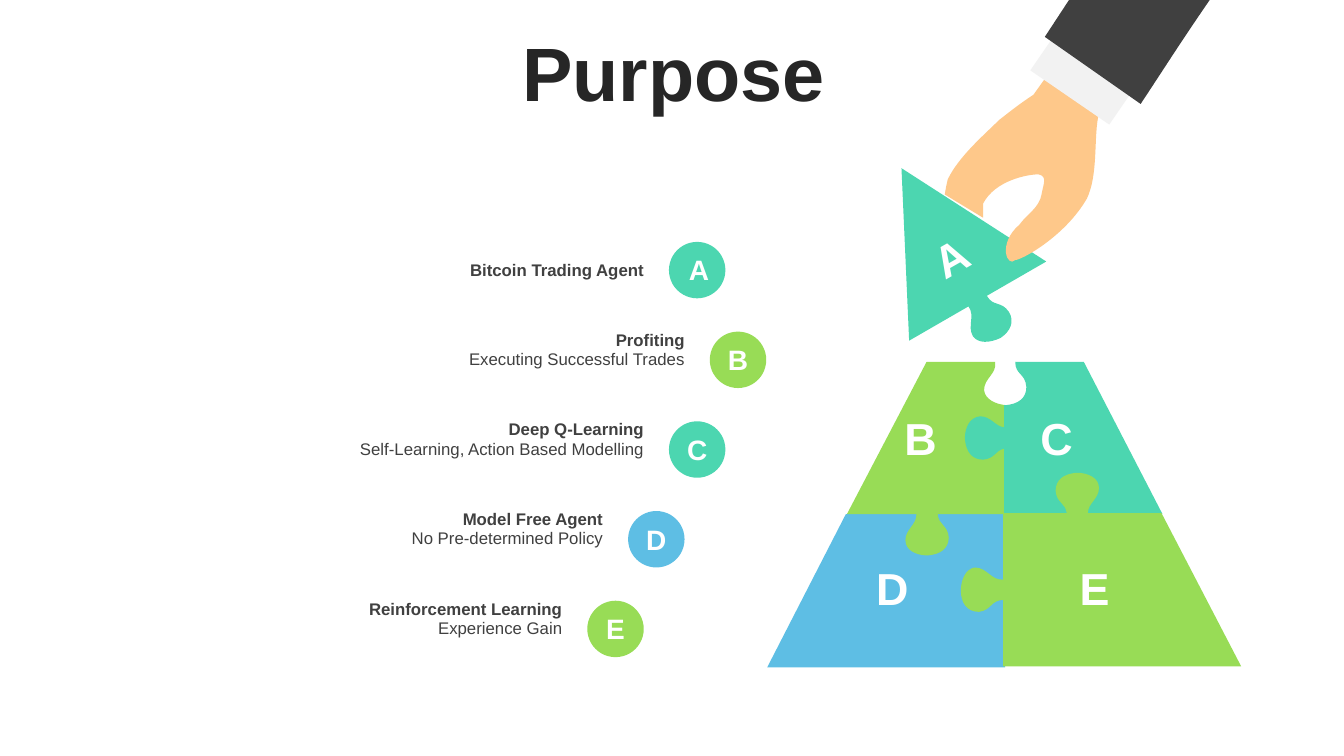
"""Build the Purpose slide: a hand placing the top piece of a puzzle pyramid, with a lettered list."""
from dataclasses import dataclass

from lxml.etree import SubElement
from pptx import Presentation
from pptx.dml.color import RGBColor
from pptx.enum.shapes import MSO_SHAPE
from pptx.enum.text import MSO_ANCHOR, PP_ALIGN
from pptx.oxml.ns import qn
from pptx.util import Inches, Pt


@dataclass(frozen=True)
class Theme:
    font: str = "Arial"
    teal: str = "4CD6B0"
    green: str = "98DC56"
    blue: str = "5EBEE4"
    skin: str = "FEC88A"
    cuff: str = "F2F2F2"
    sleeve: str = "404040"
    white: str = "FFFFFF"
    heading: str = "262626"
    body: str = "404040"
    title_size: int = 54
    piece_size: int = 32
    badge_size: int = 20
    body_size: int = 12


theme = Theme()
deck = Presentation()
deck.slide_width, deck.slide_height = Inches(13.33), Inches(7.5)
page = deck.slides.add_slide(deck.slide_layouts[6])
COLUMNS, ROWS = 1333, 750
column, row = deck.slide_width / COLUMNS, deck.slide_height / ROWS


def write(text, *, at, size=theme.body_size, color=theme.body, bold=True,
          align=PP_ALIGN.LEFT, anchor=MSO_ANCHOR.TOP, wrap=True, spacing=None, turn=0):
    """Write one line of text in a new text box placed at grid cells."""
    left, top, width, height = at
    box = page.shapes.add_textbox(int(left * column), int(top * row),
                                  int(width * column), int(height * row))
    box.rotation = turn
    frame = box.text_frame
    frame.word_wrap = wrap
    frame.vertical_anchor = anchor
    para = frame.paragraphs[0]
    para.alignment = align
    if spacing:
        para.line_spacing = spacing
    span = para.add_run()
    span.text = text
    span.font.name = theme.font
    span.font.size = Pt(size)
    span.font.bold = bold
    span.font.color.rgb = RGBColor.from_string(color)


def draw(outline, color, turn=0):
    """Draw a path of M, L and C steps in grid cells, or a preset shape given with its place."""
    if isinstance(outline, str):
        steps, points = outline.split(), []
        for step in steps:
            cells = [int(number) for number in step[1:].split(",")]
            points += [(x * column, y * row) for x, y in zip(cells[::2], cells[1::2])]
        builder = page.shapes.build_freeform(*points[0])
        builder.add_line_segments(points[1:], close=True)
        shape = builder.convert_to_shape()
        lines = iter(list(shape.element.iter(qn("a:lnTo"))))
        for step in steps[1:]:
            line = next(lines)
            if step[0] == "C":
                curve = SubElement(line.getparent(), qn("a:cubicBezTo"))
                line.addprevious(curve)
                for corner in (line, next(lines), next(lines)):
                    curve.append(corner[0])
                    corner.getparent().remove(corner)
    else:
        preset, left, top, width, height = outline
        shape = page.shapes.add_shape(preset, int(left * column), int(top * row),
                                      int(width * column), int(height * row))
    shape.rotation = turn
    shape.shadow.inherit = False
    shape.fill.solid()
    shape.fill.fore_color.rgb = RGBColor.from_string(color)
    shape.line.fill.background()


pieces = [
    ("M839,510 L997,510 L997,662 L761,662", theme.blue, 0),
    ("M943,154 L1021,306 L953,306 C953,319,963,317,964,331 C964,342,956,348,944,349 "
     "C932,348,922,343,921,334 C921,322,933,318,932,306 L864,306", theme.teal, 330),
    ("M919,359 L987,359 C989,371,976,375,976,387 C977,396,987,401,998,402 L998,510 L930,510 "
     "C931,521,940,521,941,533 C941,544,933,550,920,551 C909,551,898,546,898,536 "
     "C898,525,909,521,909,510 L840,510", theme.green, 0),
    ("M1007,359 L1075,359 L1153,510 L996,510 L996,445 C987,447,987,455,975,456 "
     "C964,456,958,448,957,435 C957,424,962,414,972,413 C983,413,987,423,996,424 L996,402 "
     "L997,402 C1010,401,1018,395,1018,384 C1017,370,1007,372,1007,359", theme.teal, 0),
    ("M1068,469 C1079,469,1090,474,1090,484 C1090,495,1079,499,1079,509 L1152,509 L1231,661 "
     "L995,661 L995,595 C982,596,984,605,971,607 C959,607,953,598,953,586 "
     "C953,575,958,564,967,563 C979,563,983,576,995,575 L995,509 L1058,509 "
     "C1057,499,1048,499,1047,487 C1047,476,1055,470,1068,469", theme.green, 0),
]
for outline, color, turn in pieces:
    draw(outline, color, turn)

for letter, left, top, turn in [("A", 917, 223, 330.4), ("B", 887, 403, 0), ("C", 1022, 403, 0),
                                ("D", 859, 551, 0), ("E", 1061, 551, 0)]:
    write(letter, at=(left, top, 52, 63), size=theme.piece_size, color=theme.white,
          wrap=False, turn=turn)

hand = ("M1060,45 L1128,69 C1106,90,1095,95,1089,117 C1085,139,1089,174,1078,197 "
        "C1056,235,1013,258,1007,258 C999,266,989,242,1011,223 C1018,213,1031,206,1033,193 "
        "C1035,182,1039,175,1030,173 C1019,173,987,179,975,202 C975,206,975,211,975,216 "
        "L937,193 C938,187,939,182,940,178 C951,155,977,133,991,119 "
        "C1009,105,1013,102,1025,94")
draw(hand, theme.skin)

write("Purpose", at=(35, 37, 1266, 79), size=theme.title_size, color=theme.heading,
      align=PP_ALIGN.CENTER, anchor=MSO_ANCHOR.MIDDLE, spacing=0.9)

items = [
    ("A", 0, theme.teal, "Bitcoin Trading Agent", ""),
    ("B", 1, theme.green, "Profiting", "Executing Successful Trades"),
    ("C", 0, theme.teal, "Deep Q-Learning", "Self-Learning, Action Based Modelling"),
    ("D", -1, theme.blue, "Model Free Agent", "No Pre-determined Policy"),
    ("E", -2, theme.green, "Reinforcement Learning", "Experience Gain"),
]
BADGE, LABEL_WIDTH, LABEL_HEIGHT = 56, 475, 30
for index, (letter, shift, color, heading, detail) in enumerate(items):
    left, top = 663.5 + 40.5 * shift, 240 + 89 * index
    draw((MSO_SHAPE.OVAL, left, top, BADGE, BADGE), color)
    inset, letter_width = (10, 35) if letter == "A" else (8, 40)
    write(letter, at=(left + inset, top + 6, letter_width, 43), size=theme.badge_size,
          color=theme.white, align=PP_ALIGN.CENTER)
    label_left = left - 15 - LABEL_WIDTH
    heading_top = top - 7 if detail else top + 13
    if detail:
        write(detail, at=(label_left, top + 12, LABEL_WIDTH, LABEL_HEIGHT), bold=False,
              align=PP_ALIGN.RIGHT)
    write(heading, at=(label_left, heading_top, LABEL_WIDTH, LABEL_HEIGHT), align=PP_ALIGN.RIGHT)

draw((MSO_SHAPE.RECTANGLE, 1024, 63, 95, 37), theme.cuff, turn=34.5)
draw("M1060,34 L1175,-44 C1175,10,1176,28,1177,81 L1061,80", theme.sleeve, turn=34.5)

deck.save("out.pptx")
